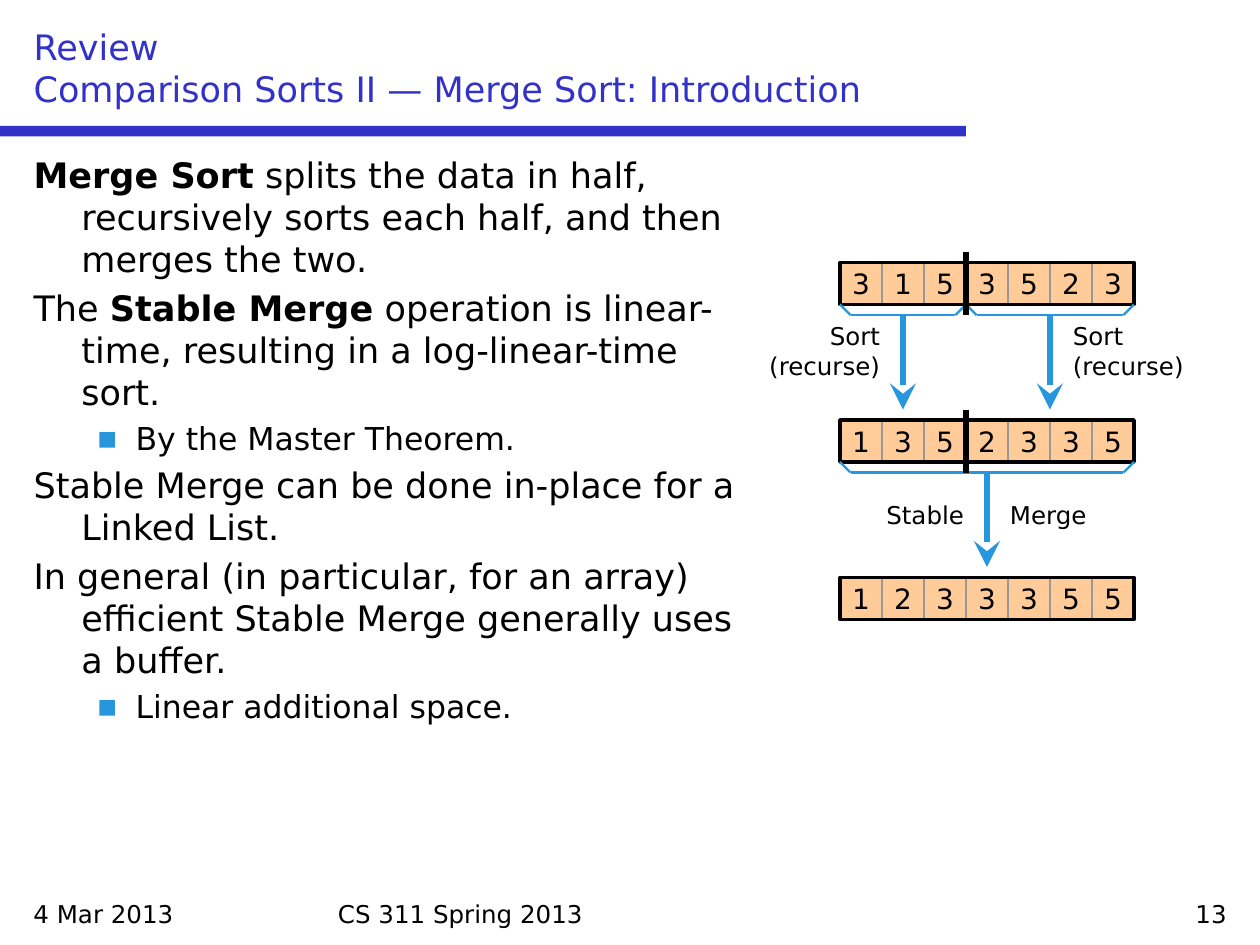
import pptx
import pptx.util
import pptx.dml.color
import pptx.enum.shapes
import pptx.enum.text
import pptx.oxml.ns
import lxml.etree

Pt = pptx.util.Pt
ALIGN = pptx.enum.text.PP_ALIGN
ANCHOR = pptx.enum.text.MSO_ANCHOR
AUTO = pptx.enum.text.MSO_AUTO_SIZE
RECT = pptx.enum.shapes.MSO_SHAPE.RECTANGLE
STRAIGHT = pptx.enum.shapes.MSO_CONNECTOR.STRAIGHT
qn = pptx.oxml.ns.qn

FONT = "DejaVu Sans"
BLACK, INDIGO, BLUE = "000000", "3232C8", "2896DC"
PEACH, GRAY = "FFCC99", "989898"
CELL = 4       # side of an array cell, in grid units
ARRAY_X = 80   # left edge of every array


def grid(n):
    """Length of n grid units, twelve to the inch."""
    return pptx.util.Cm(n * 2.54 / 12)


def box(*units):
    return [grid(n) for n in units]


def color(hex_code):
    return pptx.dml.color.RGBColor.from_string(hex_code)


def add_run(p, text, size, hex_code=BLACK, bold=False):
    r = p.add_run()
    r.text = text
    r.font.name = FONT
    r.font.size = Pt(size)
    r.font.bold = bold
    r.font.color.rgb = color(hex_code)


def add_rect(s, x, y, w, h, fill=None, line=None, width=1.25):
    sp = s.shapes.add_shape(RECT, *box(x, y, w, h))
    sp.shadow.inherit = False
    if fill:
        sp.fill.solid()
        sp.fill.fore_color.rgb = color(fill)
    else:
        sp.fill.background()
    if line:
        sp.line.color.rgb = color(line)
        sp.line.width = Pt(width)
    else:
        sp.line.fill.background()
    return sp


def add_line(s, x1, y1, x2, y2, hex_code=BLUE, width=1.25, arrow=False):
    ln = s.shapes.add_connector(STRAIGHT, *box(x1, y1, x2, y2))
    ln.line.color.rgb = color(hex_code)
    ln.line.width = Pt(width)
    if arrow:
        lxml.etree.SubElement(ln.line._get_or_add_ln(), qn("a:tailEnd"),
                              type="stealth", w="lg", len="lg")
    lxml.etree.SubElement(ln._element.spPr, qn("a:effectLst"))


def add_text(s, x, y, w, h, text, align=ALIGN.LEFT, grow=False):
    tf = s.shapes.add_textbox(*box(x, y, w, h)).text_frame
    tf.word_wrap = True
    if grow:
        tf.auto_size = AUTO.SHAPE_TO_FIT_TEXT
    p = tf.paragraphs[0]
    p.alignment = align
    add_run(p, text, 14)


def place(sp, x, y, w, h, anchor):
    """Move a placeholder and return its text frame."""
    sp.left, sp.top, sp.width, sp.height = box(x, y, w, h)
    tf = sp.text_frame
    tf.auto_size = AUTO.NONE
    tf.vertical_anchor = anchor
    return tf


def fill_title(sp, lines):
    p = place(sp, 2, 2, 116, 9, ANCHOR.BOTTOM).paragraphs[0]
    p.alignment = ALIGN.LEFT
    for i, line in enumerate(lines):
        if i:
            p.add_line_break()
        add_run(p, line, 20, INDIGO)


def fill_body(sp, items):
    """Each item is a level and runs; odd-numbered runs are bold."""
    tf = place(sp, 2, 14, 71, 70, ANCHOR.TOP)
    for i, (level, runs) in enumerate(items):
        p = tf.add_paragraph() if i else tf.paragraphs[0]
        size = 18 if level else 20
        p.level = level
        p.space_before = Pt(size * 0.2)
        pPr = p._p.get_or_add_pPr()
        margin, hang = (0.81, 0.31) if level else (0.38, 0.38)
        pPr.set("marL", str(pptx.util.Inches(margin)))
        pPr.set("indent", str(-pptx.util.Inches(hang)))
        if level:
            clr = lxml.etree.SubElement(pPr, qn("a:buClr"))
            lxml.etree.SubElement(clr, qn("a:srgbClr"), val=BLUE)
            lxml.etree.SubElement(pPr, qn("a:buFont"), typeface=FONT)
            lxml.etree.SubElement(pPr, qn("a:buChar"), char="▪")
        else:
            lxml.etree.SubElement(pPr, qn("a:buNone"))
        for k, text in enumerate(runs):
            if text:
                add_run(p, text, size, bold=k % 2 == 1)


def add_array(s, y, digits):
    for i, digit in enumerate(digits):
        sp = add_rect(s, ARRAY_X + i * CELL, y, CELL, CELL, PEACH, GRAY)
        tf = sp.text_frame
        tf.word_wrap = False
        tf.vertical_anchor = ANCHOR.MIDDLE
        p = tf.paragraphs[0]
        p.alignment = ALIGN.CENTER
        add_run(p, digit, 16)
    add_rect(s, ARRAY_X, y, len(digits) * CELL, CELL, line=BLACK, width=2)


def add_brace(s, x1, x2, y):
    """Shallow bracket under an array, with an arrow from its middle."""
    add_line(s, x1, y, x1 + 1, y + 1)
    add_line(s, x1 + 1, y + 1, x2 - 1, y + 1)
    add_line(s, x2, y, x2 - 1, y + 1)
    middle = (x1 + x2) / 2
    add_line(s, middle, y + 1, middle, y + 10, width=3, arrow=True)


def main():
    prs = pptx.Presentation()
    prs.slide_width, prs.slide_height = box(120, 90)
    s = prs.slides.add_slide(prs.slide_layouts[1])

    # Heading and body
    add_rect(s, 0, 12, 92, 1, INDIGO)
    fill_title(s.shapes.title, [
        "Review", "Comparison Sorts II — Merge Sort: Introduction"])
    fill_body(s.placeholders[1], [
        (0, ["", "Merge Sort", " splits the data in half, recursively sorts "
             "each half, and then merges the two."]),
        (0, ["The ", "Stable Merge", " operation is linear-time, resulting "
             "in a log-linear-time sort."]),
        (1, ["By the Master Theorem."]),
        (0, ["Stable Merge can be done in-place for a Linked List."]),
        (0, ["In general (in particular, for an array) efficient Stable "
             "Merge generally uses a buffer."]),
        (1, ["Linear additional space."]),
    ])

    # Footer
    add_text(s, 2, 85, 28, 4, "4 Mar 2013")
    add_text(s, 31, 85, 58, 4, "CS 311 Spring 2013")
    add_text(s, 90, 85, 28, 4, "13", ALIGN.RIGHT)

    # Arrays, braces and the line between the halves
    for y, digits in [(25, "3153523"), (40, "1352335"), (55, "1233355")]:
        add_array(s, y, digits)
    split, end = ARRAY_X + 3 * CELL, ARRAY_X + 7 * CELL
    for x1, x2, y in [(ARRAY_X, split, 29), (split, end, 29),
                      (ARRAY_X, end, 44)]:
        add_brace(s, x1, x2, y)
    for y in (24, 39):
        add_line(s, split, y, split, y + 6, BLACK, 3)

    # Step labels
    for x, y, h, text, align in [
            (70, 30, 7, "Sort (recurse)", ALIGN.RIGHT),
            (101, 30, 7, "Sort (recurse)", ALIGN.LEFT),
            (78, 47, 4, "Stable", ALIGN.RIGHT),
            (95, 47, 4, "Merge", ALIGN.LEFT)]:
        add_text(s, x, y, 15, h, text, align, grow=True)

    prs.save("out.pptx")


main()
